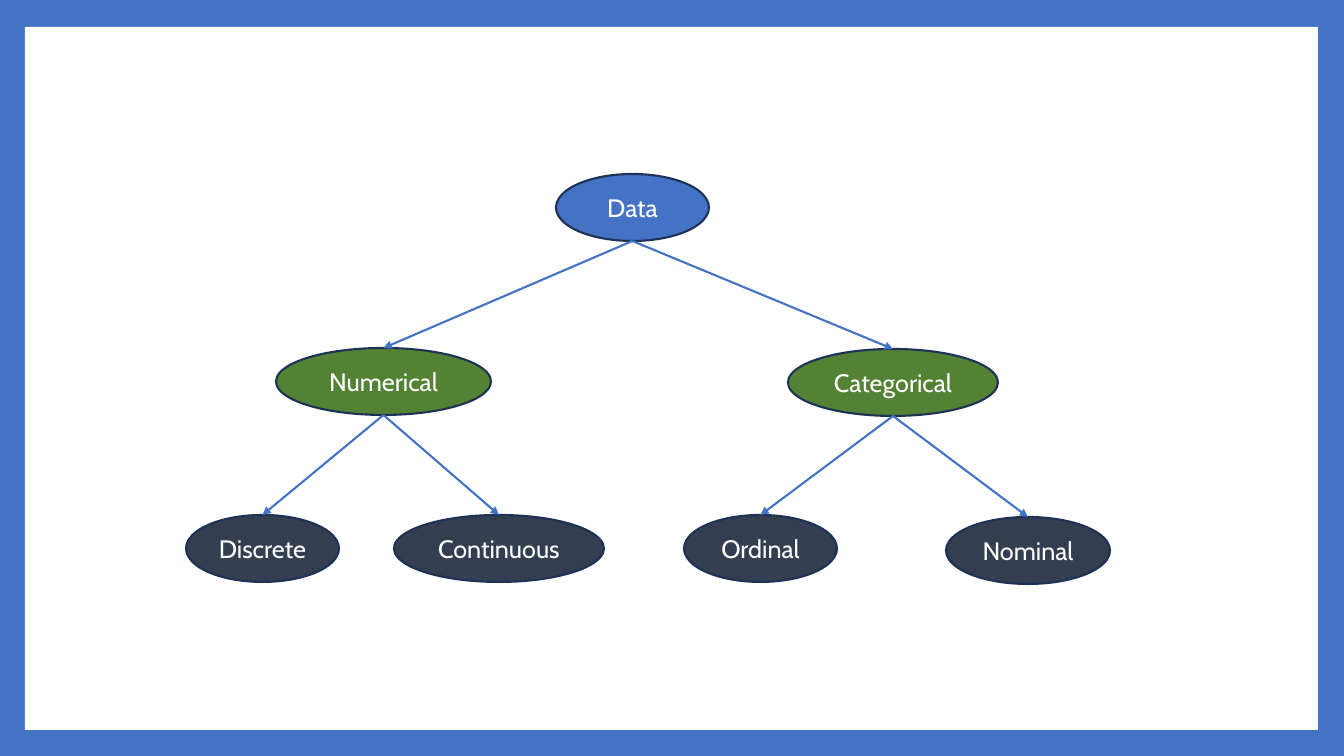
import pptx
import pptx.dml.color
import pptx.enum.shapes
import pptx.enum.text
import pptx.oxml.ns
import pptx.util
from lxml import etree

SLIDE_W, SLIDE_H = 1344, 756
EMU_PER_PX = 12192000 / SLIDE_W
NODE_H = 67
BLUE, GREEN, SLATE = "4472C4", "548235", "333F50"
NAVY, WHITE = "1E3256", "FFFFFF"

# name: (left, top, width, fill)
NODES = {
    "Data": (556, 174, 153, BLUE),
    "Numerical": (276, 348, 215, GREEN),
    "Categorical": (788, 349, 210, GREEN),
    "Discrete": (186, 515, 153, SLATE),
    "Continuous": (394, 515, 210, SLATE),
    "Ordinal": (684, 515, 153, SLATE),
    "Nominal": (946, 517, 164, SLATE),
}
BRANCHES = {
    "Data": ("Numerical", "Categorical"),
    "Numerical": ("Discrete", "Continuous"),
    "Categorical": ("Ordinal", "Nominal"),
}


def px(length):
    return pptx.util.Emu(round(length * EMU_PER_PX))


def color(hex_text):
    return pptx.dml.color.RGBColor.from_string(hex_text)


def add_filled(page, kind, left, top, width, height, fill):
    shape = page.shapes.add_shape(kind, px(left), px(top), px(width), px(height))
    shape.shadow.inherit = False
    shape.fill.solid()
    shape.fill.fore_color.rgb = color(fill)
    return shape


def add_node(page, name):
    left, top, width, fill = NODES[name]
    node = add_filled(page, pptx.enum.shapes.MSO_SHAPE.OVAL,
                      left, top, width, NODE_H, fill)
    node.line.color.rgb = color(NAVY)
    node.line.width = pptx.util.Pt(1.5)
    frame = node.text_frame
    frame.word_wrap = False
    frame.vertical_anchor = pptx.enum.text.MSO_ANCHOR.MIDDLE
    para = frame.paragraphs[0]
    para.alignment = pptx.enum.text.PP_ALIGN.CENTER
    span = para.add_run()
    span.text = name
    span.font.name = "Cabin"
    span.font.size = pptx.util.Pt(18)
    span.font.color.rgb = color(WHITE)
    return node


def add_arrow(page, parent, child):
    """Join the bottom of the parent to the top of the child."""
    arrow = page.shapes.add_connector(
        pptx.enum.shapes.MSO_CONNECTOR.STRAIGHT,
        parent.left + parent.width // 2, parent.top + parent.height,
        child.left + child.width // 2, child.top)
    arrow.line.color.rgb = color(BLUE)
    arrow.line.width = pptx.util.Pt(1.5)
    qn = pptx.oxml.ns.qn
    properties = arrow.element.find(qn("p:spPr"))
    etree.SubElement(properties.find(qn("a:ln")), qn("a:tailEnd"), type="triangle")
    etree.SubElement(properties, qn("a:effectLst"))


def main():
    deck = pptx.Presentation()
    deck.slide_width, deck.slide_height = px(SLIDE_W), px(SLIDE_H)
    page = deck.slides.add_slide(deck.slide_layouts[6])

    # Blue frame around a white panel
    page.background.fill.solid()
    page.background.fill.fore_color.rgb = color(BLUE)
    panel = add_filled(page, pptx.enum.shapes.MSO_SHAPE.RECTANGLE,
                       25, 27, 1293, 703, WHITE)
    panel.line.fill.background()

    # Tree of data types
    nodes = {name: add_node(page, name) for name in NODES}
    for parent, children in BRANCHES.items():
        for child in children:
            add_arrow(page, nodes[parent], nodes[child])

    deck.save("out.pptx")


if __name__ == "__main__":
    main()
